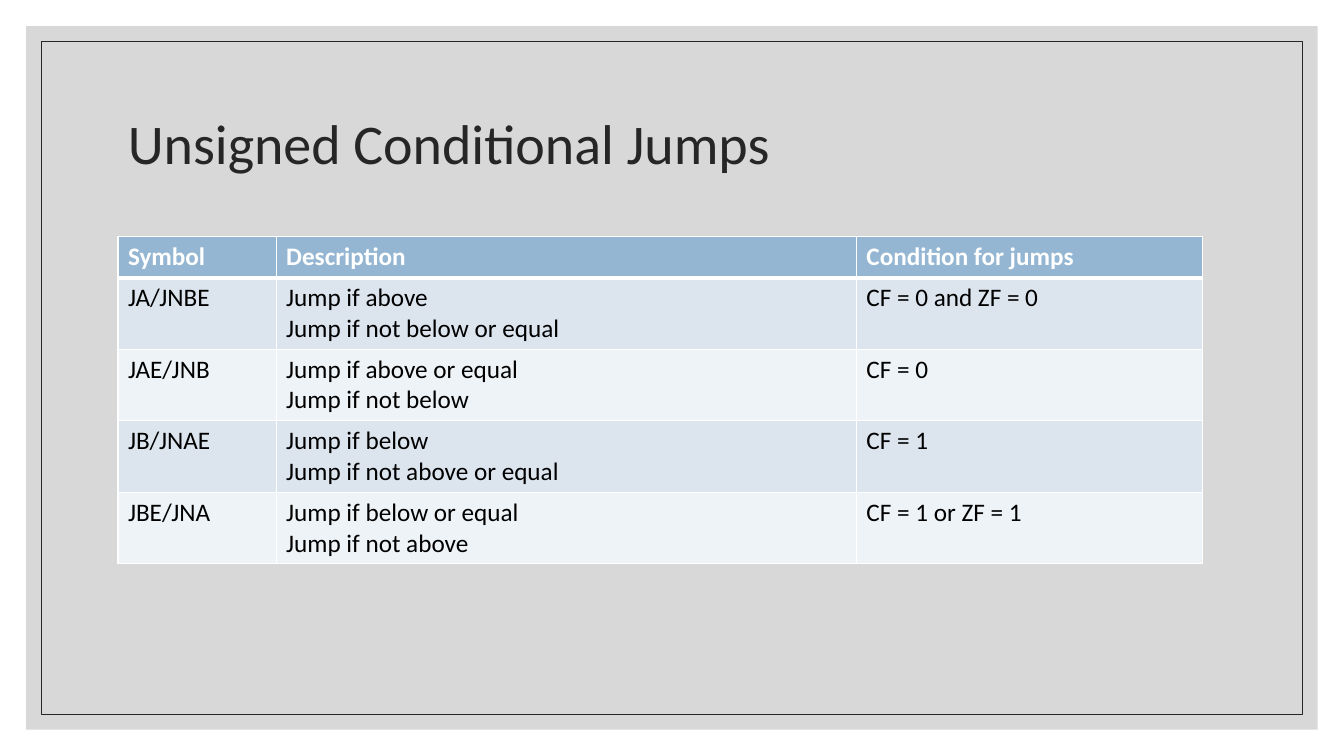
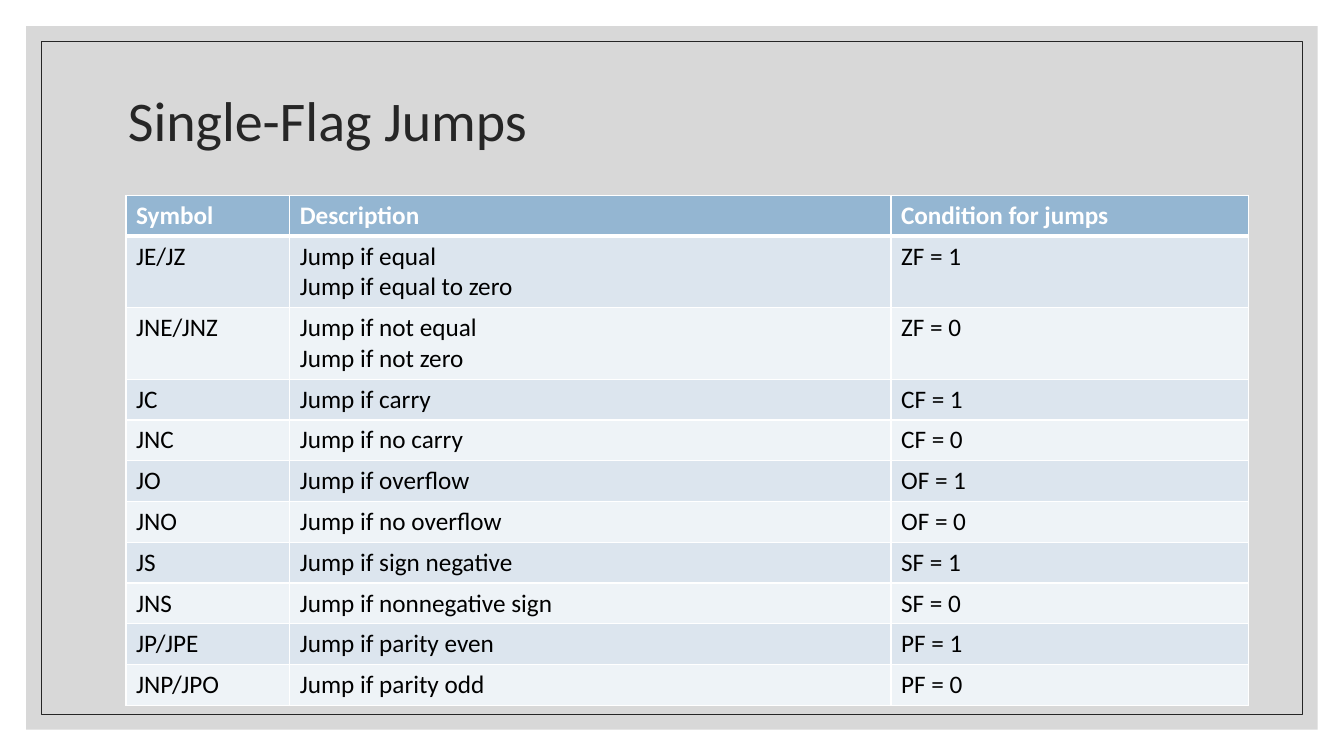
"""Build two slides of tables about conditional jump instructions."""
from lxml.etree import SubElement
from pptx import Presentation
from pptx.dml.color import RGBColor
from pptx.enum.shapes import MSO_SHAPE
from pptx.enum.text import MSO_ANCHOR
from pptx.oxml.ns import qn
from pptx.util import Pt

COLOURS = {
    "panel": "BFBFBF",
    "ink": "262626",
    "header": "94B6D2",
    "odd_row": "DCE5EE",
    "even_row": "EEF3F7",
    "white": "FFFFFF",
    "black": "000000",
}
FONT = "Calibri"
SLIDE_WIDTH, SLIDE_HEIGHT = 960, 540
LEFT_EDGE = 84.24
TITLE_TOP, TITLE_WIDTH = 50.4, 792
TITLE_SIZE, TABLE_SIZE = 40, 18
LINE_HEIGHT, CELL_PADDING = 21.95, 7.2
THIN, THICK = 1, 3

HEADINGS = ("Symbol", "Description", "Condition for jumps")
UNSIGNED_JUMPS = [
    ("JA/JNBE", "Jump if above\nJump if not below or equal", "CF = 0 and ZF = 0"),
    ("JAE/JNB", "Jump if above or equal\nJump if not below", "CF = 0"),
    ("JB/JNAE", "Jump if below\nJump if not above or equal", "CF = 1"),
    ("JBE/JNA", "Jump if below or equal\nJump if not above", "CF = 1 or ZF = 1"),
]
SINGLE_FLAG_JUMPS = [
    ("JE/JZ", "Jump if equal\nJump if equal to zero", "ZF = 1"),
    ("JNE/JNZ", "Jump if not equal\nJump if not zero", "ZF = 0"),
    ("JC", "Jump if carry", "CF = 1"),
    ("JNC", "Jump if no carry", "CF = 0"),
    ("JO", "Jump if overflow", "OF = 1"),
    ("JNO", "Jump if no overflow", "OF = 0"),
    ("JS", "Jump if sign negative", "SF = 1"),
    ("JNS", "Jump if nonnegative sign", "SF = 0"),
    ("JP/JPE", "Jump if parity even", "PF = 1"),
    ("JNP/JPO", "Jump if parity odd", "PF = 0"),
]


def colour(name):
    """Return a named colour."""
    return RGBColor.from_string(COLOURS[name])


def add_span(para, text, size, colour_name, bold=False):
    """Add one styled run to a paragraph."""
    span = para.add_run()
    span.text = text
    span.font.name = FONT
    span.font.size = Pt(size)
    span.font.bold = bold
    span.font.color.rgb = colour(colour_name)


def add_inset_rectangle(page, inset):
    """Add a bare rectangle at an equal distance from all slide edges."""
    box = page.shapes.add_shape(
        MSO_SHAPE.RECTANGLE, Pt(inset), Pt(inset),
        Pt(SLIDE_WIDTH - 2 * inset), Pt(SLIDE_HEIGHT - 2 * inset))
    box.shadow.inherit = False
    return box


def add_background(page):
    """Add the translucent panel and its thin frame."""
    panel = add_inset_rectangle(page, 18.72)
    panel.line.fill.background()
    panel.fill.solid()
    panel.fill.fore_color.rgb = colour("panel")
    panel_colour = panel.fill._xPr.find(qn("a:solidFill"))[0]
    SubElement(panel_colour, qn("a:alpha"), val="60000")

    frame = add_inset_rectangle(page, 29.52)
    frame.fill.background()
    frame.line.color.rgb = colour("ink")
    frame.line.width = Pt(0.5)


def add_title(page, text, height):
    """Add the slide title, centred vertically in its box."""
    box = page.shapes.add_textbox(
        Pt(LEFT_EDGE), Pt(TITLE_TOP), Pt(TITLE_WIDTH), Pt(height))
    box.text_frame.word_wrap = True
    box.text_frame.vertical_anchor = MSO_ANCHOR.MIDDLE
    para = box.text_frame.paragraphs[0]
    para.line_spacing = 0.9
    add_span(para, text, TITLE_SIZE, "ink")


def set_borders(cell, top, bottom):
    """Draw white borders with the given top and bottom widths."""
    properties = cell._tc.get_or_add_tcPr()
    for side, width in (("L", THIN), ("R", THIN), ("T", top), ("B", bottom)):
        border = SubElement(properties, qn(f"a:ln{side}"), w=str(Pt(width)))
        fill = SubElement(border, qn("a:solidFill"))
        SubElement(fill, qn("a:srgbClr"), val=COLOURS["white"])


def fill_cell(cell, text, row_index):
    """Write and style a cell according to its row."""
    is_header = row_index == 0
    set_borders(cell, THICK if row_index == 1 else THIN,
                THICK if is_header else THIN)
    cell.fill.solid()
    band = "odd_row" if row_index % 2 else "even_row"
    cell.fill.fore_color.rgb = colour("header" if is_header else band)
    frame = cell.text_frame
    for index, line in enumerate(text.split("\n")):
        para = frame.add_paragraph() if index else frame.paragraphs[0]
        add_span(para, line, TABLE_SIZE, "white" if is_header else "black", is_header)


def add_jump_table(page, left, top, widths, jumps):
    """Add a table whose row heights follow the number of text lines."""
    rows = [HEADINGS, *jumps]
    heights = [CELL_PADDING + LINE_HEIGHT * (1 + row[1].count("\n")) for row in rows]
    table = page.shapes.add_table(
        len(rows), len(widths), Pt(left), Pt(top),
        Pt(sum(widths)), Pt(sum(heights))).table
    for column, width in zip(table.columns, widths):
        column.width = Pt(width)
    for row_index, (row, height) in enumerate(zip(rows, heights)):
        table.rows[row_index].height = Pt(height)
        for column_index, text in enumerate(row):
            fill_cell(table.cell(row_index, column_index), text, row_index)


def add_page(deck, title, title_height):
    """Add a slide with the shared background and a title."""
    page = deck.slides.add_slide(deck.slide_layouts[6])
    add_background(page)
    add_title(page, title, title_height)
    return page


def main():
    """Build and save the deck."""
    deck = Presentation()
    deck.slide_width, deck.slide_height = Pt(SLIDE_WIDTH), Pt(SLIDE_HEIGHT)

    page = add_page(deck, "Unsigned Conditional Jumps", 108)
    add_jump_table(page, LEFT_EDGE, 169.2, (113, 414.5, 247), UNSIGNED_JUMPS)

    page = add_page(deck, "Single-Flag Jumps", 74.88)
    add_jump_table(page, 90, 139.5, (117, 429.5, 255.5), SINGLE_FLAG_JUMPS)

    deck.save("out.pptx")


if __name__ == "__main__":
    main()
